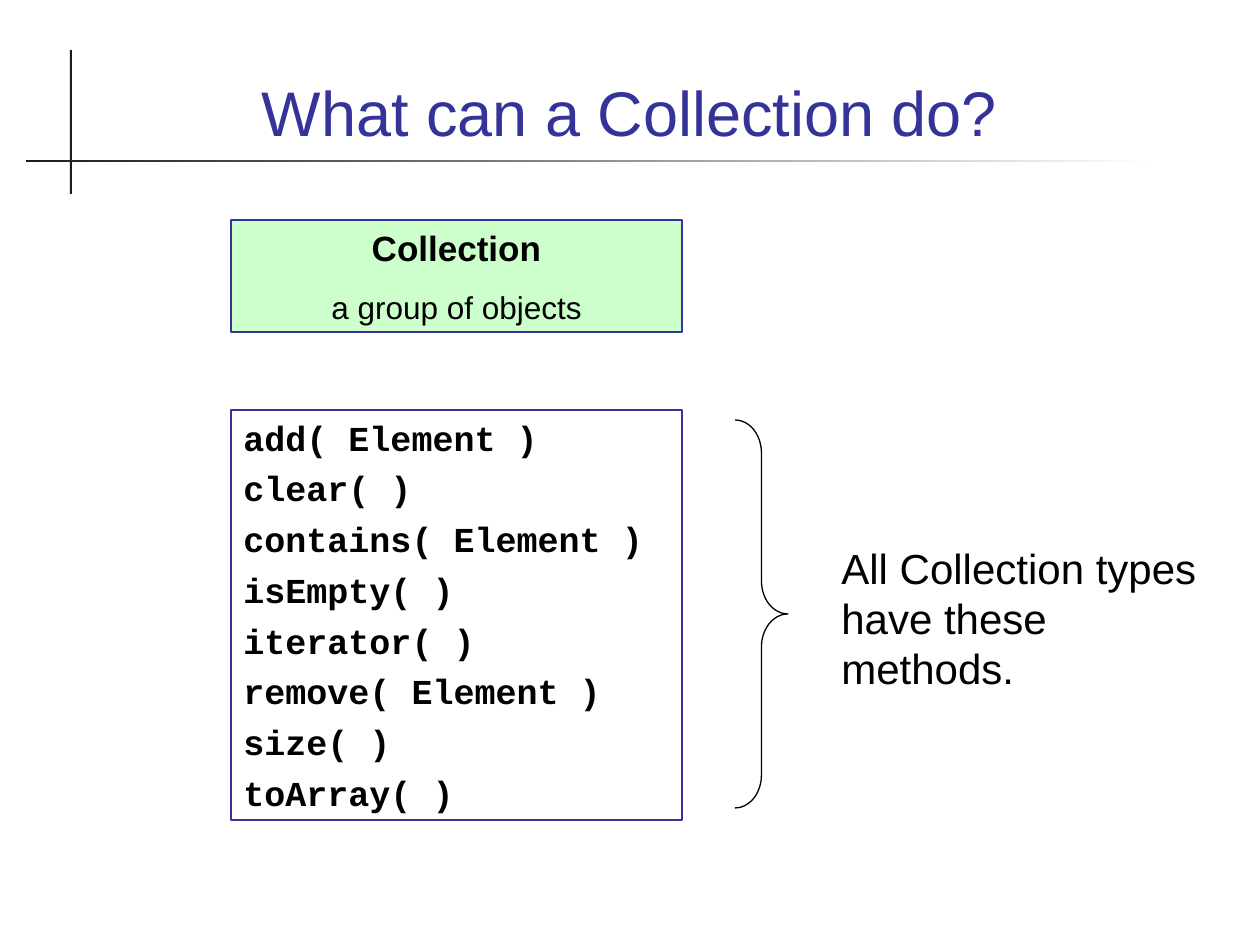
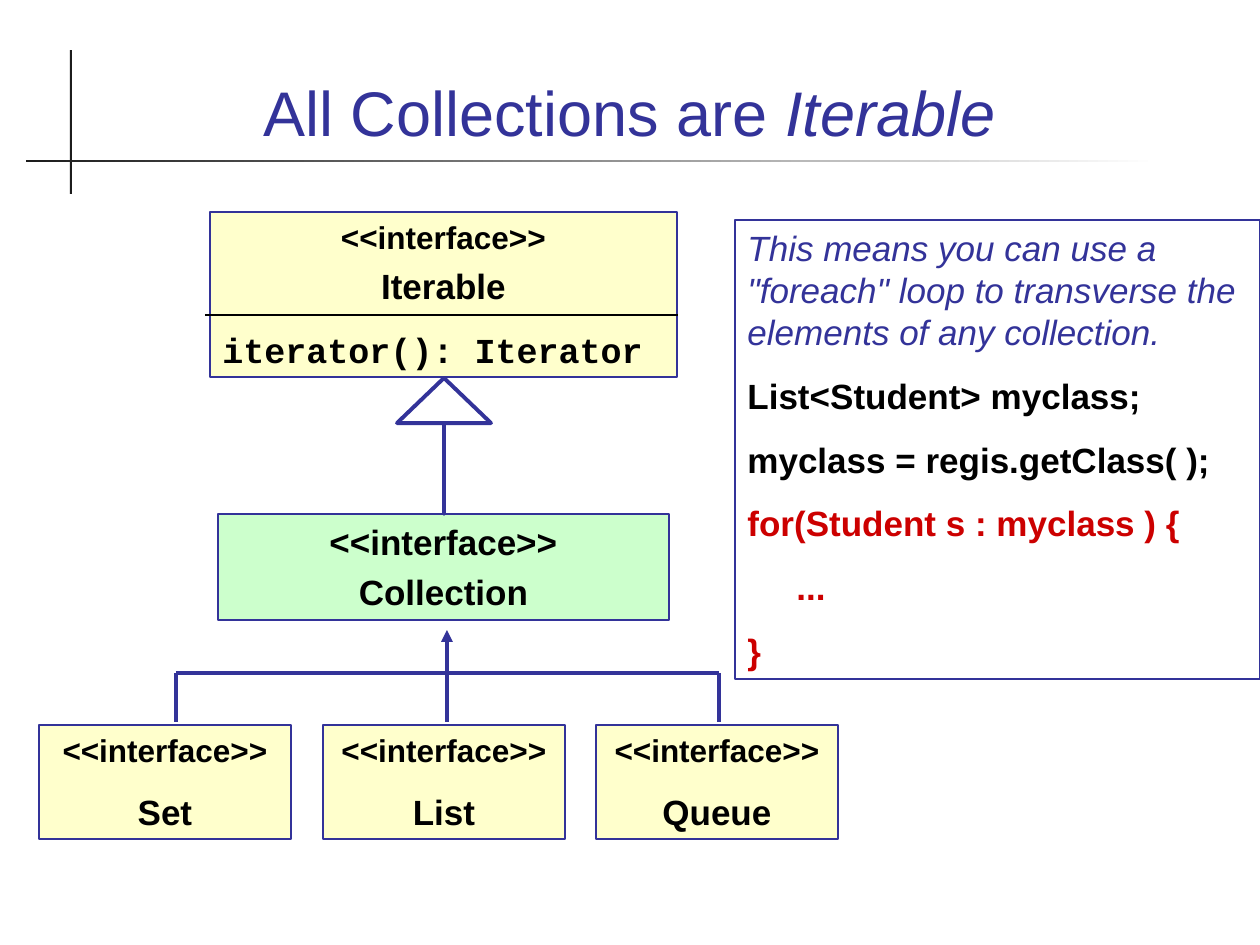
"""Build two slides on the Collection interface and its Iterable parent."""
from collections import namedtuple

from lxml.etree import SubElement
from pptx import Presentation
from pptx.dml.color import RGBColor
from pptx.enum.shapes import MSO_CONNECTOR, MSO_SHAPE
from pptx.enum.text import MSO_ANCHOR, PP_ALIGN
from pptx.oxml.ns import qn
from pptx.util import Emu, Pt

COLORS = {
    "indigo": "333399", "black": "000000", "ink": "1C1C1C", "white": "FFFFFF",
    "green": "CCFFCC", "yellow": "FFFFCC", "red": "CC0000",
}
SANS, MONO = "Arial", "Courier New"
EMU_PER_PX = 914400 / 126
CODE_INDENT = 49

Span = namedtuple("Span", "text size color bold italic font",
                  defaults=(20, "black", False, False, SANS))
Line = namedtuple("Line", "spans align before indent",
                  defaults=(PP_ALIGN.LEFT, 0, 0))


def heading(text, size=20, before=0, bold=True):
    return Line([Span(text, size, bold=bold)], PP_ALIGN.CENTER, before)


def code(text, color="black", indent=0):
    return Line([Span(text, color=color, bold=True)], before=12.5, indent=indent)


TITLES = [
    [Span("What can a Collection do?", 36, "indigo")],
    [Span("All Collections are ", 36, "indigo"),
     Span("Iterable", 36, "indigo", italic=True)],
]
METHODS = ["add( Element )", "clear( )", "contains( Element )", "isEmpty( )",
           "iterator( )", "remove( Element )", "size( )", "toArray( )"]
METHODS_NOTE = "All Collection types have these methods."
SUBTYPES = [("Set", 39, 252), ("List", 323, 242), ("Queue", 596, 242)]
FOREACH = [
    Line([Span('This means you can use a "foreach" loop to transverse '
               "the elements of any collection.", color="indigo", italic=True)]),
    code("List<Student> myclass;"),
    code("myclass = regis.getClass( );"),
    code("for(Student s : myclass ) {", "red"),
    code("...", "red", CODE_INDENT),
    code("}", "red"),
]
BRANCH_Y, BRANCH_END = 673, 722
BRANCH_XS = [176, 447, 719]


def px(value):
    return Emu(round(value * EMU_PER_PX))


def rgb(name):
    return RGBColor.from_string(COLORS[name])


def write(shape, lines, anchor=MSO_ANCHOR.TOP):
    frame = shape.text_frame
    frame.word_wrap = True
    frame.vertical_anchor = anchor
    for index, line in enumerate(lines):
        para = frame.add_paragraph() if index else frame.paragraphs[0]
        para.alignment = line.align
        para.space_before = Pt(line.before if index else 0)
        if line.indent:
            para._p.get_or_add_pPr().set("marL", str(px(line.indent)))
        for item in line.spans:
            span = para.add_run()
            span.text = item.text
            font = span.font
            font.name, font.size = item.font, Pt(item.size)
            font.bold, font.italic = item.bold, item.italic
            font.color.rgb = rgb(item.color)


def add_text(page, place, lines, anchor=MSO_ANCHOR.TOP):
    write(page.shapes.add_textbox(*map(px, place)), lines, anchor)


def add_shape(page, place, fill=None, line=None, width=1.5, kind=MSO_SHAPE.RECTANGLE):
    shape = page.shapes.add_shape(kind, *map(px, place))
    shape.shadow.inherit = False
    if fill:
        shape.fill.solid()
        shape.fill.fore_color.rgb = rgb(fill)
    else:
        shape.fill.background()
    if line:
        shape.line.color.rgb = rgb(line)
        shape.line.width = Pt(width)
    else:
        shape.line.fill.background()
    return shape


def add_box(page, place, lines, fill=None, width=1.5):
    write(add_shape(page, place, fill, "indigo", width), lines)


def add_line(page, start, end, color="indigo", width=2.25, arrow=False):
    connector = page.shapes.add_connector(
        MSO_CONNECTOR.STRAIGHT, *map(px, start + end))
    connector.line.color.rgb = rgb(color)
    connector.line.width = Pt(width)
    properties = connector.element.spPr
    if arrow:
        SubElement(properties.find(qn("a:ln")), qn("a:tailEnd"), type="triangle")
    SubElement(properties, qn("a:effectLst"))


def add_page(deck, title):
    page = deck.slides.add_slide(deck.slide_layouts[6])
    add_shape(page, (70, 50, 2, 144), "ink")
    fill = add_shape(page, (26, 160, 1132, 2)).fill
    fill.gradient()
    fill.gradient_angle = 0
    for stop, color in zip(fill.gradient_stops, ("ink", "white")):
        stop.color.rgb = rgb(color)
    add_text(page, (84, 35, 1091, 120), [Line(title, PP_ALIGN.CENTER)],
             MSO_ANCHOR.BOTTOM)
    return page


def build_methods(page):
    add_box(page, (231, 220, 451, 112),
            [heading("Collection"),
             heading("a group of objects", 18, 11.2, bold=False)], "green")
    add_box(page, (231, 410, 451, 410),
            [Line([Span(name, bold=True, font=MONO)], before=5) for name in METHODS],
            width=0.75)
    brace = add_shape(page, (735, 420, 53, 388), line="black", width=0.75,
                      kind=MSO_SHAPE.RIGHT_BRACE)
    brace.adjustments[0] = 0.62
    add_text(page, (829, 536, 388, 164), [Line([Span(METHODS_NOTE, 24)])])


def build_hierarchy(page):
    stereotype = "<<interface>>"
    add_box(page, (218, 514, 451, 106),
            [heading(stereotype), heading("Collection", before=5)], "green")
    add_box(page, (210, 212, 467, 165),
            [heading(stereotype, 18), heading("Iterable", before=5),
             Line([Span("iterator(): Iterator", bold=True, font=MONO)],
                  before=12.5)], "yellow")
    add_line(page, (205, 315), (678, 315), "black", 0.75)
    for name, left, width in SUBTYPES:
        add_box(page, (left, 725, width, 114),
                [heading(stereotype, 18), heading(name, before=12.5)], "yellow")
    add_line(page, (BRANCH_XS[0], BRANCH_Y), (BRANCH_XS[-1], BRANCH_Y))
    add_line(page, (BRANCH_XS[1], BRANCH_Y), (BRANCH_XS[1], 630), arrow=True)
    for x in BRANCH_XS:
        add_line(page, (x, BRANCH_Y), (x, BRANCH_END))
    inheritance = add_shape(page, (397, 378, 94, 136), line="indigo", width=2.25,
                            kind=MSO_SHAPE.UP_ARROW)
    inheritance.adjustments[0] = 0
    inheritance.adjustments[1] = 0.48
    add_box(page, (735, 220, 525, 459), FOREACH, width=0.75)


def main():
    deck = Presentation()
    deck.slide_width, deck.slide_height = px(1260), px(945)
    for title, build in zip(TITLES, (build_methods, build_hierarchy)):
        build(add_page(deck, title))
    deck.save("out.pptx")


if __name__ == "__main__":
    main()
